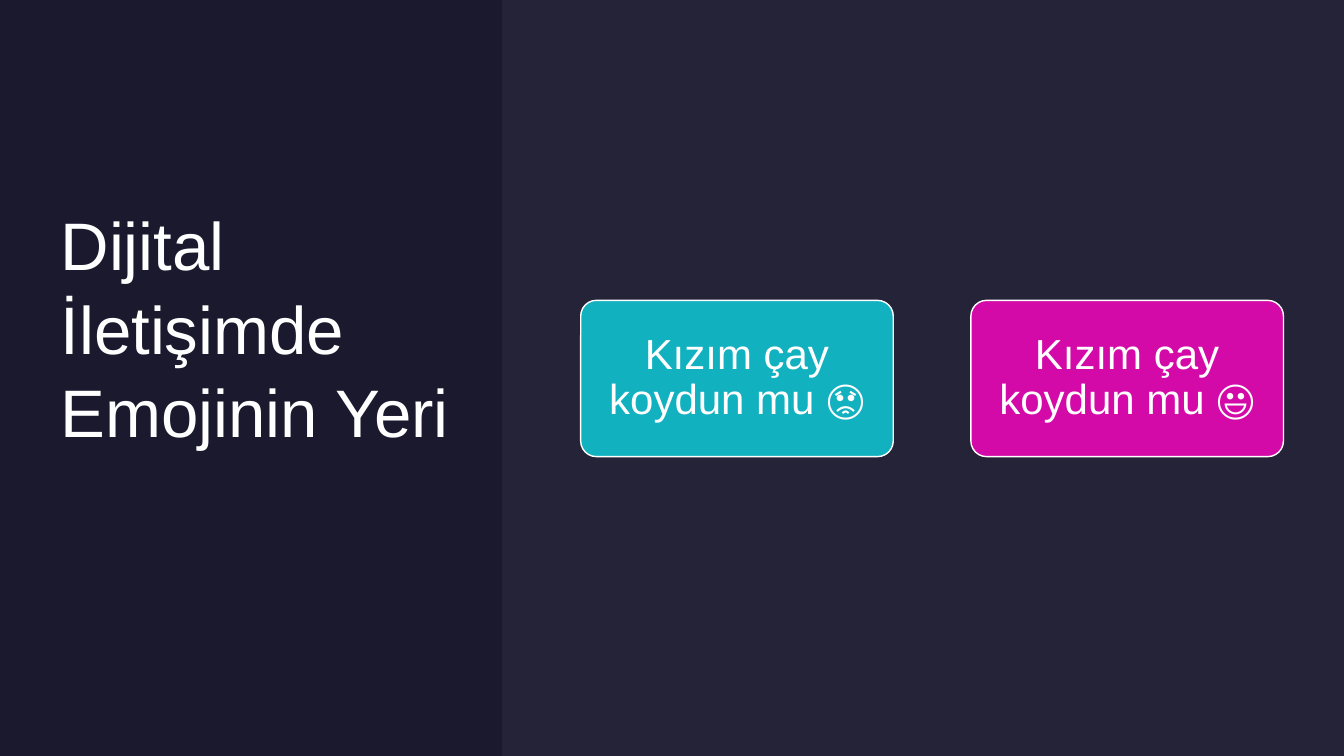
from lxml import etree
from pptx import Presentation
from pptx import util as u
from pptx.dml.color import RGBColor
from pptx.enum import shapes, text
from pptx.oxml.ns import qn

COLORS = {
    "background": "1B192E",
    "panel": "E4E3F0",
    "white": "FFFFFF",
    "teal": "12B1BF",
    "magenta": "D40AA8",
}
CARDS = [("Kızım çay koydun mu 😡", "teal"), ("Kızım çay koydun mu 😃", "magenta")]
CARD_LEFT, CARD_TOP, CARD_PITCH = 5.76, 2.98, 3.87
CARD_WIDTH, CARD_HEIGHT = 3.1, 1.55


def color(name):
    return RGBColor.from_string(COLORS[name])


def format_text(frame, size, alignment, line_spacing):
    frame.word_wrap = True
    frame.vertical_anchor = text.MSO_ANCHOR.MIDDLE
    paragraph = frame.paragraphs[0]
    paragraph.alignment = alignment
    paragraph.line_spacing = line_spacing
    for run in paragraph.runs:
        run.font.name = "Arial"
        run.font.size = u.Pt(size)
        run.font.color.rgb = color("white")


presentation = Presentation()
presentation.slide_width = u.Inches(13.33)
presentation.slide_height = u.Inches(7.5)
slide = presentation.slides.add_slide(presentation.slide_layouts[5])
slide.background.fill.solid()
slide.background.fill.fore_color.rgb = color("background")

# Title on the dark left side, set a little above the middle
title = slide.shapes.title
title.left, title.top = u.Inches(0.6), u.Inches(0.6)
title.width, title.height = u.Inches(3.9), u.Inches(6.06)
frame = title.text_frame
frame.text = "Dijital İletişimde Emojinin Yeri"
frame.auto_size = text.MSO_AUTO_SIZE.NONE
frame.margin_left = frame.margin_top = frame.margin_right = 0
frame.margin_bottom = u.Inches(0.8)
format_text(frame, 48, text.PP_ALIGN.LEFT, 1.04)

# Faint light panel on the right
panel = slide.shapes.add_shape(
    shapes.MSO_SHAPE.RECTANGLE, u.Inches(4.98), 0, u.Inches(8.35), u.Inches(7.5))
panel.shadow.inherit = False
panel.line.fill.background()
panel.fill.solid()
panel.fill.fore_color.rgb = color("panel")
panel_color = panel.fill._xPr.find(qn("a:solidFill")).find(qn("a:srgbClr"))
etree.SubElement(panel_color, qn("a:alpha"), val="5000")

# Message cards
for index, (message, fill_name) in enumerate(CARDS):
    card = slide.shapes.add_shape(
        shapes.MSO_SHAPE.ROUNDED_RECTANGLE,
        u.Inches(CARD_LEFT + index * CARD_PITCH), u.Inches(CARD_TOP),
        u.Inches(CARD_WIDTH), u.Inches(CARD_HEIGHT))
    card.adjustments[0] = 0.1
    card.shadow.inherit = False
    card.fill.solid()
    card.fill.fore_color.rgb = color(fill_name)
    card.line.color.rgb = color("white")
    card.line.width = u.Pt(1)
    frame = card.text_frame
    frame.text = message
    frame.margin_left = frame.margin_right = u.Inches(0.08)
    frame.margin_top = frame.margin_bottom = u.Inches(0.05)
    format_text(frame, 30, text.PP_ALIGN.CENTER, 0.9)

presentation.save("out.pptx")
